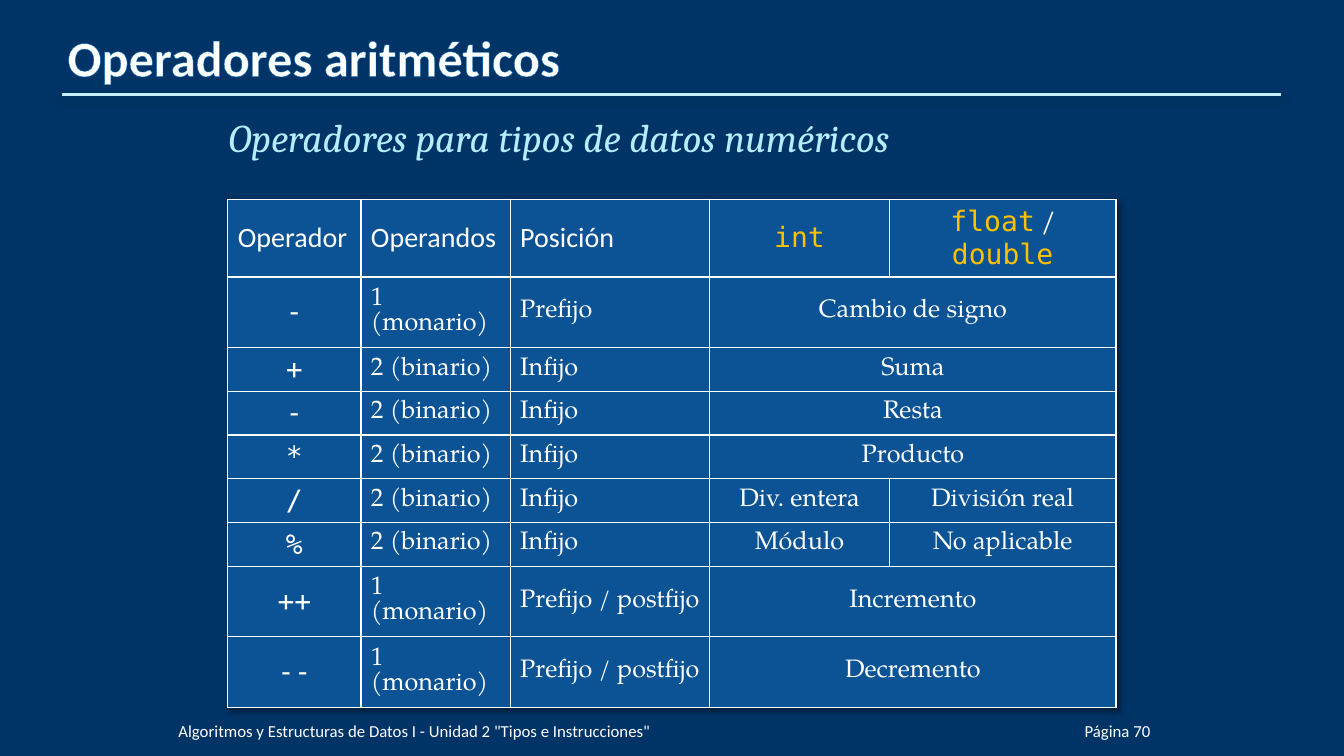
from lxml.etree import SubElement
from pptx import Presentation
from pptx.dml.color import RGBColor
from pptx.enum.shapes import MSO_CONNECTOR
from pptx.enum.text import MSO_ANCHOR, PP_ALIGN
from pptx.oxml import parse_xml
from pptx.oxml.ns import nsdecls, qn
from pptx.util import Inches, Pt

COLORS = {"back": "003366", "cell": "0B5394", "text": "FFFFFF", "code": "FFC000",
          "lead": "B5EDFD", "rule": "C4EFFF", "edge": "0070C0", "shade": "00374C",
          "dark": "000000"}
SANS, SERIF, MONO, BOOK = "Calibri", "Cambria", "DejaVu Sans Mono", "TeX Gyre Pagella"


def style(run, font, size, color="text"):
    run.font.name = font
    run.font.size = Pt(size)
    run.font.color.rgb = RGBColor.from_string(COLORS[color])


def shadow(color, alpha, blur, dist, angle):
    """Return an effect list with one outer shadow."""
    return parse_xml(
        f'<a:effectLst {nsdecls("a")}><a:outerShdw blurRad="{Pt(blur)}" dist="{Pt(dist)}" '
        f'dir="{angle * 60000}" algn="ctr" rotWithShape="0"><a:srgbClr val="{COLORS[color]}">'
        f'<a:alpha val="{alpha * 1000}"/></a:srgbClr></a:outerShdw></a:effectLst>')


deck = Presentation()
deck.slide_width, deck.slide_height = Inches(13.33), Inches(7.5)
slide = deck.slides.add_slide(deck.slide_layouts[6])
slide.background.fill.solid()
slide.background.fill.fore_color.rgb = RGBColor.from_string(COLORS["back"])

# Rule under the title
rule = slide.shapes.add_connector(MSO_CONNECTOR.STRAIGHT, Inches(0.62), Inches(0.94),
                                  Inches(12.71), Inches(0.94))
rule.line.width = Pt(2.25)
rule.line.color.rgb = RGBColor.from_string(COLORS["rule"])
rule._element.spPr.append(shadow("shade", 48, 4.5, 3, 90))

# Title, subtitle and footer
LEFT, RIGHT = PP_ALIGN.LEFT, PP_ALIGN.RIGHT
TOP, BOTTOM = MSO_ANCHOR.TOP, MSO_ANCHOR.BOTTOM
texts = [
    ("Operadores aritméticos", (0.67, 0.31, 12, 0.55), (0, 0.05, 0, 0),
     BOTTOM, LEFT, SANS, 36, "text"),
    ("Operadores para tipos de datos numéricos", (2.17, 1.07, 9, 0.65), (0.1, 0.05, 0.1, 0.05),
     TOP, LEFT, SERIF, 28, "lead"),
    ("Página 70", (10.1, 6.95, 1.31, 0.4), (0, 0, 0, 0),
     BOTTOM, RIGHT, SANS, 12, "text"),
    ('Algoritmos y Estructuras de Datos I - Unidad 2 "Tipos e Instrucciones"',
     (1.77, 6.95, 8.13, 0.4), (0, 0, 0, 0), BOTTOM, LEFT, SANS, 12, "text"),
]
runs = []
for text, place, inset, anchor, align, font, size, color in texts:
    frame = slide.shapes.add_textbox(*map(Inches, place)).text_frame
    frame.word_wrap = True
    frame.vertical_anchor = anchor
    (frame.margin_left, frame.margin_top,
     frame.margin_right, frame.margin_bottom) = map(Inches, inset)
    frame.text = text
    par = frame.paragraphs[0]
    par.alignment = align
    style(par.runs[0], font, size, color)
    runs.append(par.runs[0])

title, lead = runs[:2]
title.font.bold = True
lead.font.italic = True
title._r.rPr.insert(0, parse_xml(
    f'<a:ln {nsdecls("a")} w="{Pt(0.75)}"><a:solidFill>'
    f'<a:srgbClr val="{COLORS["edge"]}"/></a:solidFill></a:ln>'))

# Table: None marks a cell that is merged with the one on its left
ONE, TWO = "1 (monario)", "2 (binario)"
rows = [
    ("Operador", "Operandos", "Posición", "int", "float / double"),
    ("-", ONE, "Prefijo", "Cambio de signo", None),
    ("+", TWO, "Infijo", "Suma", None),
    ("-", TWO, "Infijo", "Resta", None),
    ("*", TWO, "Infijo", "Producto", None),
    ("/", TWO, "Infijo", "Div. entera", "División real"),
    ("%", TWO, "Infijo", "Módulo", "No aplicable"),
    ("++", ONE, "Prefijo / postfijo", "Incremento", None),
    ("--", ONE, "Prefijo / postfijo", "Decremento", None),
]
widths = [1.32, 1.48, 1.98, 1.78, 2.25]
table = slide.shapes.add_table(len(rows), len(widths), Inches(2.26), Inches(1.98),
                               Inches(sum(widths)), Inches(0.38 * len(rows))).table
table._tbl.tblPr.insert(0, shadow("dark", 40, 4, 3, 45))
for col, width in zip(table.columns, widths):
    col.width = Inches(width)

for r, row in enumerate(rows):
    table.rows[r].height = Inches(0.38)
    for c, text in enumerate(row):
        cell = table.cell(r, c)
        props = cell._tc.get_or_add_tcPr()
        for side in ("lnL", "lnR", "lnT", "lnB"):
            line = SubElement(props, qn(f"a:{side}"), w=str(Pt(1)))
            SubElement(SubElement(line, qn("a:solidFill")), qn("a:srgbClr"), val=COLORS["text"])
        cell.fill.solid()
        cell.fill.fore_color.rgb = RGBColor.from_string(COLORS["cell"])
        if text is None:
            table.cell(r, c - 1).merge(cell)
            continue
        cell.vertical_anchor = MSO_ANCHOR.MIDDLE
        par = cell.text_frame.paragraphs[0]
        if c > 2 or (c == 0 and r > 0):
            par.alignment = PP_ALIGN.CENTER
        if r == 0 and c > 2:
            for n, word in enumerate(text.split(" / ")):
                if n:
                    slash = par.add_run()
                    slash.text = " / "
                    style(slash, SERIF, 20)
                code = par.add_run()
                code.text = word
                style(code, MONO, 20, "code")
        else:
            par.text = text
            font, size = (SANS, 20) if r == 0 else (MONO, 20) if c == 0 else (BOOK, 18)
            style(par.runs[0], font, size)

deck.save("out.pptx")
